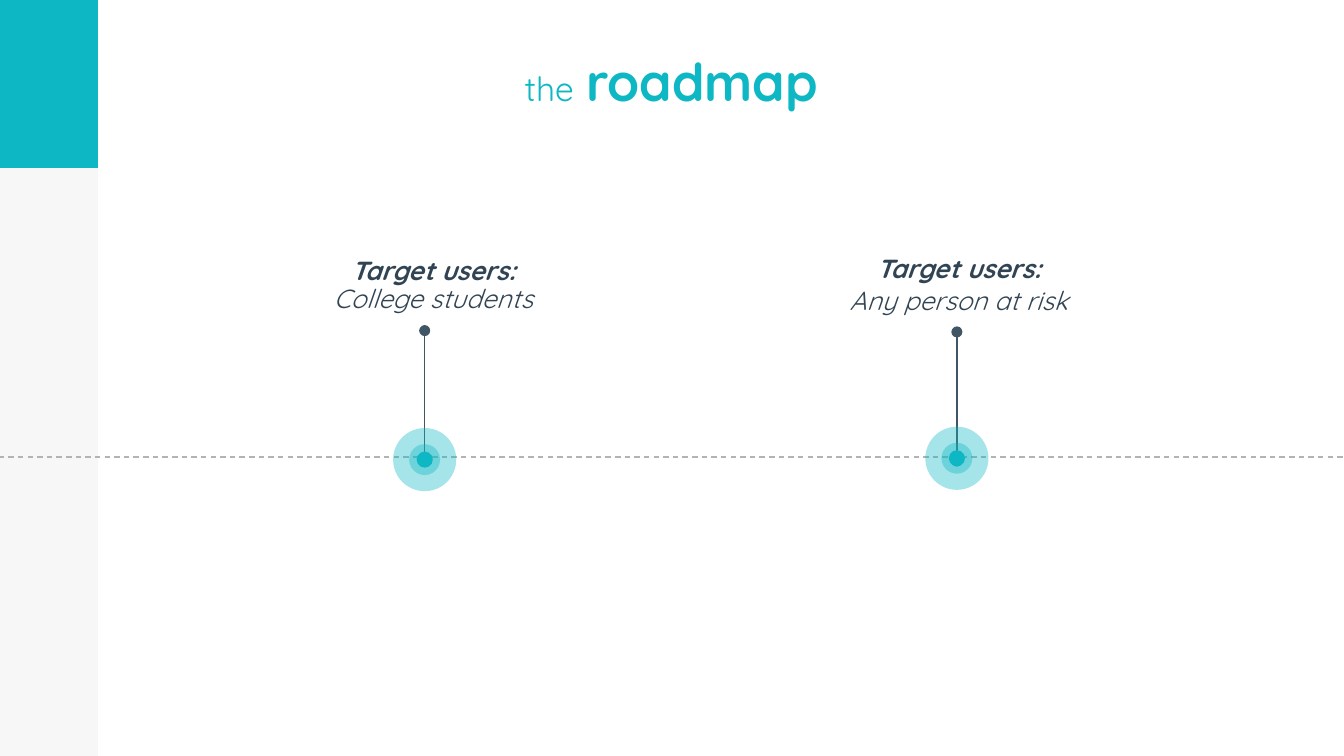
from lxml import etree
from pptx import Presentation
from pptx.dml.color import RGBColor
from pptx.enum.dml import MSO_LINE
from pptx.enum.shapes import MSO_CONNECTOR, MSO_SHAPE
from pptx.enum.text import PP_ALIGN
from pptx.oxml.ns import qn
from pptx.util import Inches, Pt

STRAIGHT = MSO_CONNECTOR.STRAIGHT
RECT, OVAL = MSO_SHAPE.RECTANGLE, MSO_SHAPE.OVAL
CENTER = PP_ALIGN.CENTER
FONT = "Quicksand"
COLORS = {"teal": "0DB7C4", "black": "000000", "dash": "B3B3B3",
          "stem": "415665", "text": "314453"}
WIDTH = 10
HEIGHT = WIDTH * 9 / 16


def add_filled(kind, x, y, w, h, color, alpha=100):
    """Add a borderless shape; alpha is its opacity in percent."""
    sp = s.shapes.add_shape(kind, Inches(x), Inches(y), Inches(w), Inches(h))
    sp.shadow.inherit = False
    sp.line.fill.background()
    sp.fill.solid()
    sp.fill.fore_color.rgb = RGBColor.from_string(COLORS[color])
    if alpha < 100:
        clr = sp._element.spPr.find(qn("a:solidFill"))[0]
        etree.SubElement(clr, qn("a:alpha"), val=str(alpha * 1000))


def add_line(x1, y1, x2, y2, color):
    cx = s.shapes.add_connector(STRAIGHT, Inches(x1), Inches(y1), Inches(x2), Inches(y2))
    cx.line.width = Pt(0.75)
    cx.line.color.rgb = RGBColor.from_string(COLORS[color])
    etree.SubElement(cx._element.spPr, qn("a:effectLst"))
    return cx


prs = Presentation()
prs.slide_width, prs.slide_height = Inches(WIDTH), Inches(HEIGHT)
s = prs.slides.add_slide(prs.slide_layouts[6])

# Side band
add_filled(RECT, 0, 0, 0.73, HEIGHT, "black", 3)
add_filled(RECT, 0, 0, 0.73, 1.25, "teal")

# Title
tf = s.shapes.add_textbox(Inches(3.68), Inches(0.32), Inches(2.63), Inches(0.57)).text_frame
tf.word_wrap = True
p = tf.paragraphs[0]
p.alignment = CENTER
for text, size, bold in [("the", 18, False), (" ", 24, False), ("roadmap", 28, True)]:
    r = p.add_run()
    r.text = text
    r.font.name, r.font.size, r.font.bold = FONT, Pt(size), bold
    r.font.color.rgb = RGBColor.from_string(COLORS["teal"])

# Timeline
add_line(-0.01, 3.4, 10.01, 3.4, "dash").line.dash_style = MSO_LINE.DASH

# Milestones: marker centre, stem bottom, label box, line spacing, audience
milestones = [
    (3.16, 3.42, 3.42, (1.69, 1.82, 3.07, 0.65), 0.9, "College students"),
    (7.12, 3.41, 3.43, (5.6, 1.78, 3.07, 0.94), 1.0, "Any person at risk"),
]
for x, y, stem_y, box, spacing, audience in milestones:
    stem = add_line(x, stem_y, x, stem_y - 0.96, "stem")
    ln = stem._element.spPr.find(qn("a:ln"))
    for end in ("a:headEnd", "a:tailEnd"):
        etree.SubElement(ln, qn(end), type="oval")

    for d, alpha in [(0.47, 37), (0.23, 37), (0.12, 100)]:
        add_filled(OVAL, x - d / 2, y - d / 2, d, d, "teal", alpha)

    tf = s.shapes.add_textbox(*map(Inches, box)).text_frame
    tf.word_wrap = True
    tf.margin_top = tf.margin_bottom = Inches(0.1)
    tf.text = f"Target users:\n{audience}"
    for p, bold in zip(tf.paragraphs, (True, False)):
        p.alignment = CENTER
        p.line_spacing = spacing
        font = p.runs[0].font
        font.name, font.size, font.bold, font.italic = FONT, Pt(14), bold, True
        font.color.rgb = RGBColor.from_string(COLORS["text"])

prs.save("out.pptx")
